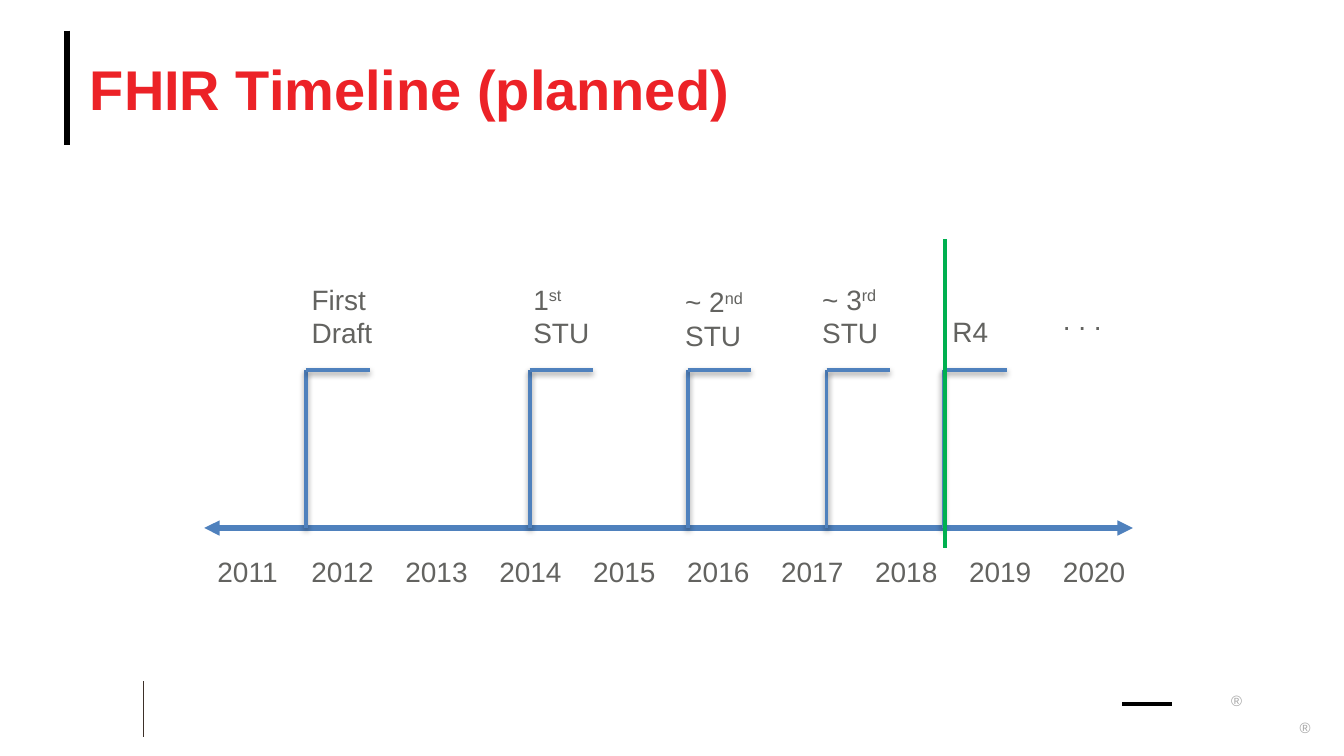
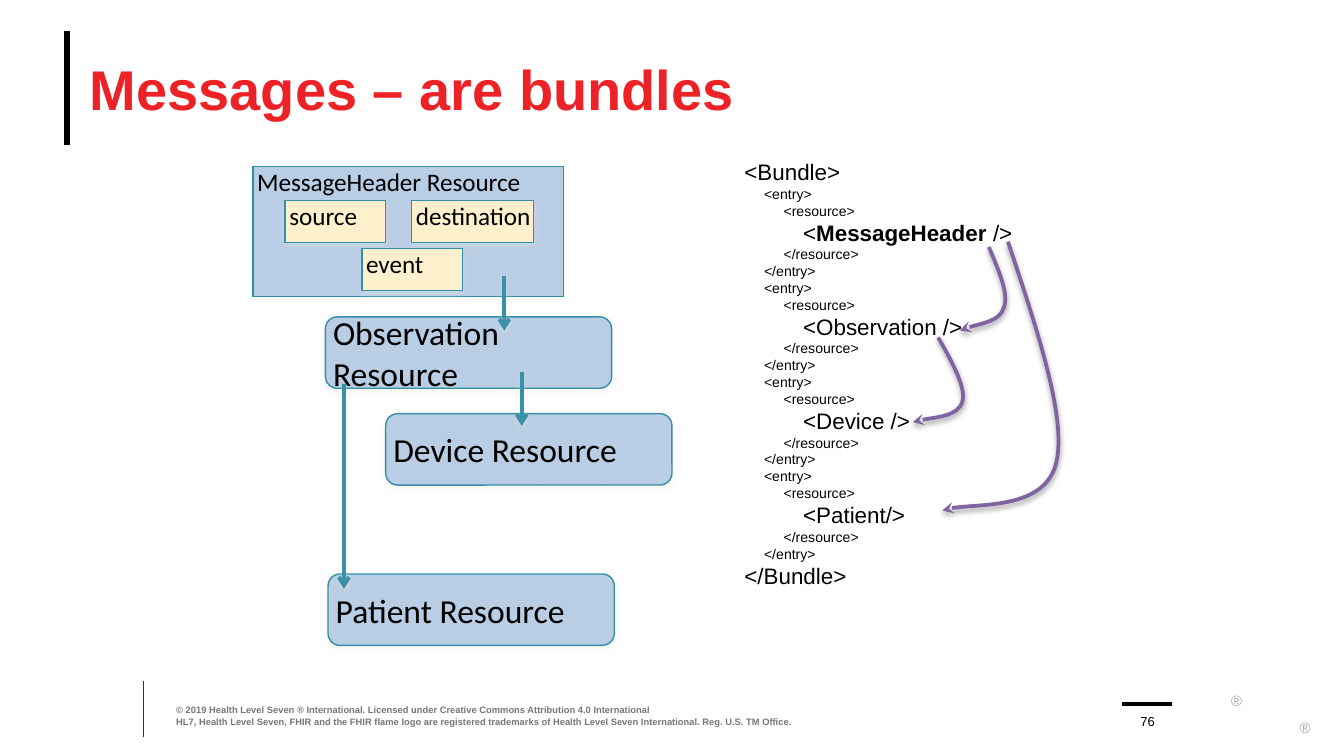
from copy import deepcopy

from lxml import etree
from pptx import Presentation
from pptx import util as u
from pptx.dml.color import RGBColor
from pptx.enum import shapes, text
from pptx.oxml.ns import qn

BLACK = RGBColor(0, 0, 0)
RED = RGBColor(0xEC, 0x22, 0x27)
BROWN = RGBColor(0x3D, 0x30, 0x29)
GRAY = RGBColor(0x63, 0x63, 0x60)
NOTE = RGBColor(0x74, 0x76, 0x79)
PALE = RGBColor(0xA6, 0xA6, 0xA6)
BLUE = RGBColor(0x4F, 0x81, 0xBD)
GREEN = RGBColor(0x00, 0xB0, 0x50)
SKY = RGBColor(0xB9, 0xCD, 0xE5)
CREAM = RGBColor(0xFE, 0xF0, 0xCD)
EDGE = RGBColor(0x33, 0x8F, 0xA5)
TEAL = RGBColor(0x38, 0x91, 0xA7)
PLUM = RGBColor(0x80, 0x64, 0xA2)
HAZE = RGBColor(0xEE, 0xEC, 0xE1)

TOP, MID, LOW = (text.MSO_ANCHOR.TOP, text.MSO_ANCHOR.MIDDLE,
                 text.MSO_ANCHOR.BOTTOM)
RECT = shapes.MSO_SHAPE.RECTANGLE
ROUND = shapes.MSO_SHAPE.ROUNDED_RECTANGLE


# Basic parts
def node(base, tag, **attrs):
    return etree.SubElement(base, qn("a:" + tag), attrs)


def shade(shape, tint=None, alpha=38):
    """Give the shape a soft drop shadow, or none without a tint."""
    props = shape.element.spPr
    fx = props.find(qn("a:effectLst"))
    if fx is None:
        fx = node(props, "effectLst")
    if tint is not None:
        drop = node(fx, "outerShdw", blurRad=str(u.Pt(3)), dist=str(u.Pt(1.6)),
                    dir="5400000", rotWithShape="0")
        node(node(drop, "srgbClr", val=str(tint)), "alpha",
             val=str(alpha * 1000))


def tip(shape, head=None, tail=None):
    line = shape.line._get_or_add_ln()
    for tag, kind in (("headEnd", head), ("tailEnd", tail)):
        if kind:
            node(line, tag, type=kind)


def rule(slide, x1, y1, x2, y2, tint, width, head=None, tail=None, glow=None):
    line = slide.shapes.add_connector(
        shapes.MSO_CONNECTOR.STRAIGHT, *map(u.Cm, (x1, y1, x2, y2)))
    line.line.color.rgb = tint
    line.line.width = u.Pt(width)
    tip(line, head, tail)
    shade(line, glow)


def write(frame, words, size, tint, font="Arial", bold=False):
    frame.text = words
    for par in frame.paragraphs:
        par.alignment = text.PP_ALIGN.LEFT
        for run in par.runs:
            run.font.name = font
            run.font.size = u.Pt(size)
            run.font.bold = bold
            run.font.color.rgb = tint


def inset(frame, left=0, top=0):
    frame.margin_left, frame.margin_top = u.Cm(left), u.Cm(top)
    frame.margin_right = frame.margin_bottom = 0


def label(slide, box, words, size, tint, bold=False, anchor=TOP):
    """A text box without margins that wraps its text."""
    frame = slide.shapes.add_textbox(*map(u.Cm, box)).text_frame
    frame.word_wrap = True
    frame.vertical_anchor = anchor
    inset(frame)
    write(frame, words, size, tint, bold=bold)
    return frame


def loose(slide, box, words, size, tint):
    """A text box that grows with its unwrapped text."""
    frame = slide.shapes.add_textbox(*map(u.Cm, box)).text_frame
    frame.word_wrap = False
    frame.auto_size = text.MSO_AUTO_SIZE.SHAPE_TO_FIT_TEXT
    write(frame, words, size, tint)
    return frame


def pick(par, part):
    """Split a one-run paragraph around part and return the run of part."""
    words = [word for word in par.text.partition(part) if word]
    first = par.runs[0]._r
    for _ in words[1:]:
        first.addnext(deepcopy(first))
    for run, word in zip(par.runs, words):
        run.text = word
    return par.runs[words.index(part)]


def block(slide, kind, box, words, size, fill, anchor):
    shape = slide.shapes.add_shape(kind, *map(u.Cm, box))
    shape.fill.solid()
    shape.fill.fore_color.rgb = fill
    shape.line.color.rgb = EDGE
    shape.line.width = u.Pt(0.75)
    shape.shadow.inherit = False
    shade(shape, HAZE, 35)
    frame = shape.text_frame
    frame.word_wrap = True
    frame.vertical_anchor = anchor
    inset(frame, 0.08)
    write(frame, words, size, BLACK, "Calibri")


def curve(slide, x, y, dots):
    """A Bezier arrow: a start point, then three points per segment."""
    pts = [(u.Cm(x + dx), u.Cm(y + dy)) for dx, dy in dots]
    maker = slide.shapes.build_freeform(*pts[0])
    maker.add_line_segments(pts[1:], close=False)
    shape = maker.convert_to_shape()
    shape.fill.background()
    shape.line.color.rgb = PLUM
    shape.line.width = u.Pt(2)
    tip(shape, tail="stealth")
    shape.shadow.inherit = False
    shade(shape, BLACK)
    steps = list(shape.element.iter(qn("a:lnTo")))
    route = steps[0].getparent()
    for i in range(0, len(steps), 3):
        bend = node(route, "cubicBezTo")
        for step in steps[i:i + 3]:
            bend.append(step[0])
            route.remove(step)


# Shared frame: title, bars and marks
def base(deck, title):
    slide = deck.slides.add_slide(deck.slide_layouts[6])
    rule(slide, 1.27, 0.58, 1.27, 2.74, BLACK, 3.25)
    rule(slide, 2.72, 12.88, 2.72, 13.94, BROWN, 0.5)
    rule(slide, 21.21, 13.31, 22.15, 13.31, BLACK, 2)
    for x, y in ((23.27, 12.95), (24.56, 13.46)):
        inset(label(slide, (x, y, 0.4, 0.23), "®", 8, PALE), top=0.13)
    label(slide, (1.7, 0.58, 22.86, 2.18), title, 30, RED, True, MID)
    return slide


def footer(slide, x, y, w, h, page):
    note = ("© 2019 Health Level Seven ® International. Licensed under "
            "Creative Commons Attribution 4.0 International\n"
            "HL7, Health Level Seven, FHIR and the FHIR flame logo are "
            "registered trademarks of Health Level Seven International. "
            "Reg. U.S. TM Office.")
    label(slide, (x, y, 12.57, h), note, 5, NOTE, True, LOW)
    frame = label(slide, (x + w - 0.76, y, 0.76, h + 0.05), page, 7, BLACK,
                  anchor=LOW)
    frame.paragraphs[0].alignment = text.PP_ALIGN.CENTER


# Timeline: axis, years, flags and the present day
FLAGS = [  # pole, label shift, label drop, label width, words, raised part
    (1.93, -0.15, 0, 1.68, "First\nDraft", None),
    (6.15, -0.18, 0, 1.57, "1st\nSTU", "st"),
    (9.14, -0.3, 0.05, 1.65, "~ 2nd\nSTU", "nd"),
    (11.76, -0.33, 0, 1.73, "~ 3rd\nSTU", "rd"),
    (13.97, -0.08, 0.61, 1.19, "R4", None),
]


def timeline(slide, x, y, w, h):
    axis = y + h - 1.27
    rule(slide, x, axis, x + w - 0.1, axis, BLUE, 2.75, "triangle", "triangle")

    years = range(2011, 2021)
    gap = (w - 1.67) / (len(years) - 1)
    for i, year in enumerate(years):
        loose(slide, (x + i * gap, y + 5.84, 1.7, 0.89), str(year), 15, GRAY)

    arm = y + 2.47
    for pole, shift, drop, wide, words, part in FLAGS:
        left = x + pole
        rule(slide, left, arm, left, axis, BLUE, 2, glow=BLACK)
        rule(slide, left, arm, left + 1.2, arm, BLUE, 2, glow=BLACK)
        box = (left + shift, y + 0.69 + drop, wide, 1.55 - drop)
        frame = loose(slide, box, words, 15, GRAY)
        if part:
            mark = pick(frame.paragraphs[0], part)
            mark.font._element.set("baseline", "30000")

    loose(slide, (x + w - 1.67, y + 1.07, 1.24, 0.89), ". . .", 15, GRAY)
    rule(slide, x + 14, y, x + 14, y + 5.84, GREEN, 2)


# Message diagram: header with fields, linked resources
def message(slide, x, y):
    block(slide, RECT, (x, y, 5.87, 2.46), "MessageHeader Resource", 13.5,
          SKY, TOP)
    for word, dx, dy, wide in (("source", 0.61, 0.64, 1.9),
                               ("destination", 3, 0.64, 2.31),
                               ("event", 2.06, 1.55, 1.9)):
        block(slide, RECT, (x + dx, y + dy, wide, 0.79), word, 13.5, CREAM,
              TOP)
    for word, dx, dy in (("Observation", 1.37, 2.84), ("Device", 2.51, 4.67),
                         ("Patient", 1.42, 7.7)):
        block(slide, ROUND, (x + dx, y + dy, 5.41, 1.35), word + " Resource",
              18, SKY, MID)
    for dx, start, end in ((4.75, 2.06, 3.1), (5.08, 3.89, 4.9),
                           (1.72, 4.11, 7.98)):
        rule(slide, x + dx, y + start, x + dx, y + end, TEAL, 2, tail="arrow",
             glow=HAZE)


# Bundle code with reference arrows
CURVES = [
    [(4.87, 1.8), (5.05, 2.24), (5.26, 2.69), (5.15, 2.95),
     (5.08, 3.2), (4.47, 3.3), (4.32, 3.38)],
    [(5.23, 1.7), (5.79, 3.38), (6.35, 5.05), (6.14, 5.89),
     (5.92, 6.76), (4.34, 6.63), (3.99, 6.78)],
    [(3.91, 3.51), (4.19, 3.99), (4.44, 4.47), (4.37, 4.72),
     (4.29, 5), (3.58, 5.05), (3.43, 5.11)],
]


def bundle(slide, x, y, w, h):
    lines = ["<Bundle>"]
    for item in ("<MessageHeader />", "<Observation />", "<Device />",
                 "<Patient/>"):
        lines += ["\t<entry>", "\t\t<resource>", "\t\t\t" + item,
                  "\t\t</resource>", "\t</entry>"]
    lines.append("</Bundle>")
    frame = loose(slide, (x, y, w, h), "\n".join(lines), 12, BLACK)
    for par in frame.paragraphs:
        tabs = node(par._p.get_or_add_pPr(), "tabLst")
        for i in range(1, 5):
            node(tabs, "tab", pos=str(u.Cm(0.37 * i)), algn="l")
        if par.text.count("\t") in (1, 2):
            par.runs[0].font.size = u.Pt(7.5)
    pick(frame.paragraphs[3], "MessageHeader").font.bold = True
    for dots in CURVES:
        curve(slide, x, y, dots)


def main():
    deck = Presentation()
    deck.slide_width, deck.slide_height = u.Cm(25.4), u.Cm(14.29)

    slide = base(deck, "FHIR Timeline (planned)")
    timeline(slide, 3.86, 4.52, 17.65, 6.73)

    slide = base(deck, "Messages – are bundles")
    footer(slide, 3.33, 13.31, 18.74, 0.43, "76")
    message(slide, 4.78, 3.15)
    bundle(slide, 13.82, 2.87, 5.64, 8.46)

    deck.save("out.pptx")


if __name__ == "__main__":
    main()
